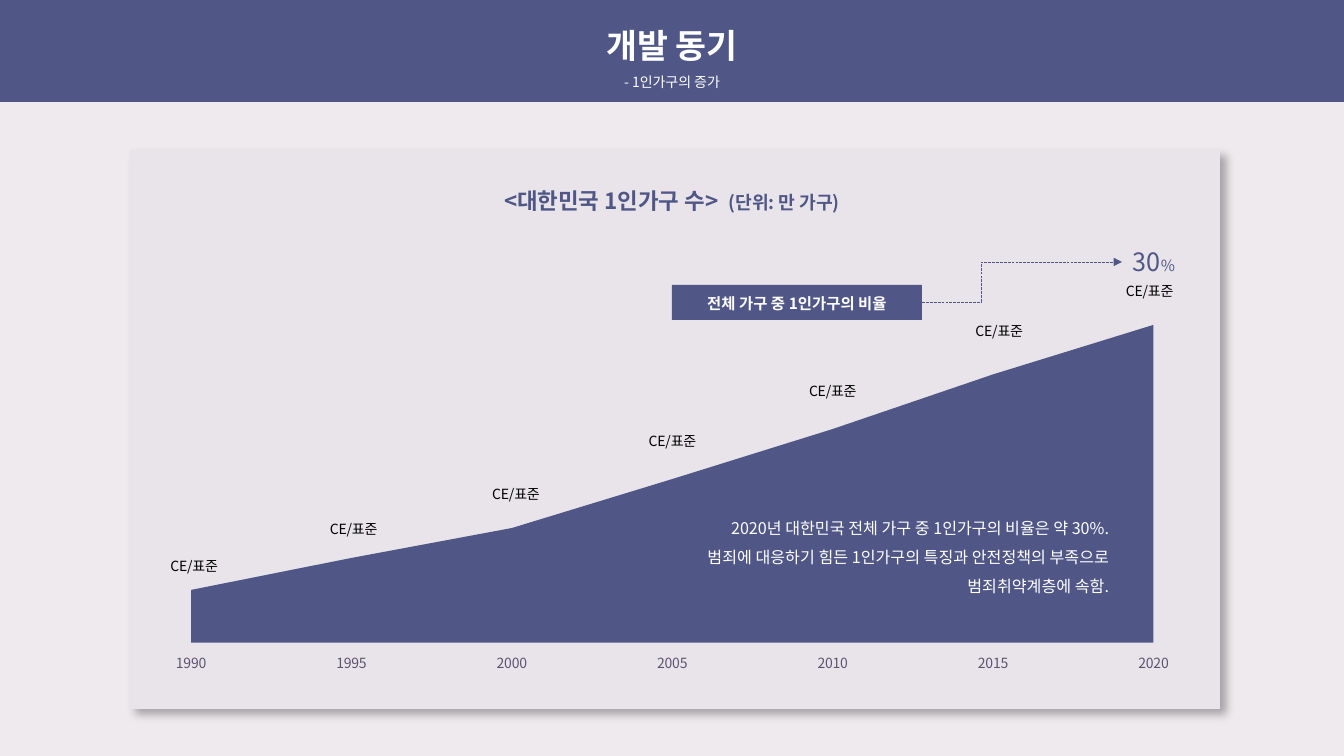
from lxml import etree
from pptx import Presentation
from pptx.chart.data import CategoryChartData
from pptx.dml.color import RGBColor
from pptx.enum.chart import XL_CHART_TYPE, XL_TICK_MARK
from pptx.enum.dml import MSO_LINE
from pptx.enum.shapes import MSO_CONNECTOR, MSO_SHAPE
from pptx.enum.text import MSO_ANCHOR, MSO_AUTO_SIZE, PP_ALIGN
from pptx.oxml import parse_xml
from pptx.oxml.ns import nsdecls, qn
from pptx.util import Pt

AREA = XL_CHART_TYPE.AREA
OUTSIDE = XL_TICK_MARK.OUTSIDE
LONG_DASH = MSO_LINE.LONG_DASH
ELBOW = MSO_CONNECTOR.ELBOW
RECTANGLE = MSO_SHAPE.RECTANGLE
TOP, MIDDLE = MSO_ANCHOR.TOP, MSO_ANCHOR.MIDDLE
NO_FIT = MSO_AUTO_SIZE.NONE
CENTER, RIGHT = PP_ALIGN.CENTER, PP_ALIGN.RIGHT
FONT = "Noto Sans CJK KR"
LABEL_FORMAT = 'g/"표""준"'
INDIGO = RGBColor(0x50, 0x57, 0x86)
PLUM = RGBColor(0x5D, 0x52, 0x70)
PANEL = RGBColor(0xE8, 0xE4, 0xEA)
BACKDROP = RGBColor(0xEE, 0xEA, 0xEE)
WHITE = RGBColor(0xFF, 0xFF, 0xFF)
BLACK = RGBColor(0, 0, 0)


def px(*lengths):
    return [round(length * 914400 / 100.8) for length in lengths]


def write(box, paragraphs, color, align=CENTER, anchor=TOP, spacing=None, wrap=True):
    frame = box.text_frame
    frame.word_wrap = wrap
    frame.auto_size = NO_FIT
    frame.vertical_anchor = anchor
    for number, spans in enumerate(paragraphs):
        para = frame.add_paragraph() if number else frame.paragraphs[0]
        para.alignment = align
        para.space_before = Pt(0)
        if spacing:
            para.line_spacing = spacing
        for text, size, bold in spans:
            span = para.add_run()
            span.text = text
            span.font.size = Pt(size)
            span.font.bold = bold
            span.font.name = FONT
            span.font.color.rgb = color
            east_asian = etree.SubElement(span.font._element, qn("a:ea"))
            east_asian.set("typeface", FONT)


deck = Presentation()
deck.slide_width, deck.slide_height = px(1344, 756)
page = deck.slides.add_slide(deck.slide_layouts[5])
page.background.fill.solid()
page.background.fill.fore_color.rgb = BACKDROP

header = page.shapes.title
header.left, header.top, header.width, header.height = px(0, 0, 1344, 102)
header.fill.solid()
header.fill.fore_color.rgb = INDIGO
frame = header.text_frame
frame.margin_left, frame.margin_top, frame.margin_right, frame.margin_bottom = px(10, 5, 10, 12)
write(header, [[("개발 동기", 24, True)], [("- 1인가구의 증가", 10, False)]], WHITE, spacing=1.5)

panel = page.shapes.add_shape(RECTANGLE, *px(130, 150, 1090, 559))
panel.fill.solid()
panel.fill.fore_color.rgb = PANEL
panel.line.fill.background()
panel._element.spPr.append(parse_xml(
    f'<a:effectLst {nsdecls("a")}><a:outerShdw blurRad="76200" dist="76200" dir="2700000" '
    'algn="tl" rotWithShape="0"><a:srgbClr val="000000"><a:alpha val="30000"/></a:srgbClr>'
    '</a:outerShdw></a:effectLst>'))

households = CategoryChartData()
households.categories = ["1990", "1995", "2000", "2005", "2010", "2015", "2020"]
households.add_series("Series 1", [102, 164, 222, 317, 414, 520, 616])
chart_width, chart_height = 1140, 457
chart = page.shapes.add_chart(AREA, *px(104, 219, chart_width, chart_height), households).chart
chart.has_legend = False
chart.has_title = False
chart.font.name = FONT
chart.font.size = Pt(10)

years = chart.category_axis
years.major_tick_mark = OUTSIDE
years.has_major_gridlines = False
years.format.line.fill.background()
years.tick_labels.font.name = FONT
years.tick_labels.font.size = Pt(10)
years.tick_labels.font.color.rgb = PLUM

counts = chart.value_axis
counts.minimum_scale = 0
counts.maximum_scale = 700
counts.has_major_gridlines = False
counts.visible = False
counts._element.find(qn("c:crossBetween")).set("val", "between")

plot_area = chart._chartSpace.find(".//" + qn("c:plotArea"))
for layout in plot_area.findall(qn("c:layout")):
    plot_area.remove(layout)
plot_area.insert(0, parse_xml(
    f'<c:layout {nsdecls("c")}><c:manualLayout><c:layoutTarget val="inner"/>'
    '<c:xMode val="edge"/><c:yMode val="edge"/><c:x val="0.006"/><c:y val="0.137"/>'
    '<c:w val="0.985"/><c:h val="0.79"/></c:manualLayout></c:layout>'))

plot = chart.plots[0]
plot.vary_by_categories = False
series = plot.series[0]
series.format.fill.solid()
series.format.fill.fore_color.rgb = INDIGO
series.format.line.fill.background()
labels = series.data_labels
labels.show_value = True
labels.number_format = LABEL_FORMAT
labels.number_format_is_linked = False
labels.font.name = FONT
labels.font.size = Pt(10)
labels.font.color.rgb = BLACK
for leader_lines in labels._element.findall(qn("c:showLeaderLines")):
    leader_lines.set("val", "0")
labels._element.append(parse_xml(
    f'<c:extLst {nsdecls("c")}><c:ext uri="{{CE6537A1-D6FC-4f65-9D91-7224C49458BB}}" '
    'xmlns:c15="http://schemas.microsoft.com/office/drawing/2012/chart">'
    '<c15:showLeaderLines val="0"/></c:ext></c:extLst>'))
label_shifts = [(3, -51), (2, -72), (4, -92), (0, -120), (0, -145), (6, -178), (-4, -193)]
for index, (across, down) in enumerate(label_shifts):
    labels._element.insert(index, parse_xml(
        f'<c:dLbl {nsdecls("c")}><c:idx val="{index}"/><c:layout><c:manualLayout>'
        f'<c:x val="{across / chart_width:.4f}"/><c:y val="{down / chart_height:.4f}"/>'
        f"</c:manualLayout></c:layout><c:numFmt formatCode='{LABEL_FORMAT}' sourceLinked='0'/>"
        '<c:showLegendKey val="0"/><c:showVal val="1"/><c:showCatName val="0"/>'
        '<c:showSerName val="0"/><c:showPercent val="0"/><c:showBubbleSize val="0"/></c:dLbl>'))

callout = page.shapes.add_shape(RECTANGLE, *px(672, 285, 250, 35))
callout.shadow.inherit = False
callout.fill.solid()
callout.fill.fore_color.rgb = INDIGO
callout.line.fill.background()
callout.text_frame.margin_top, callout.text_frame.margin_bottom = px(7, 5)
write(callout, [[("전체 가구 중 1인가구의 비율", 11, True)]], WHITE, anchor=MIDDLE)

share = page.shapes.add_textbox(*px(1122, 241, 64, 40))
write(share, [[("30", 18, False), ("%", 11, False)]], INDIGO, wrap=False)

arrow = page.shapes.add_connector(ELBOW, *px(922, 302, 1122, 262))
arrow.line.color.rgb = INDIGO
arrow.line.width = Pt(0.25)
arrow.line.dash_style = LONG_DASH
etree.SubElement(arrow.line._get_or_add_ln(), qn("a:tailEnd")).set("type", "triangle")
bend = etree.SubElement(arrow._element.spPr.prstGeom.get_or_add_avLst(), qn("a:gd"))
bend.set("name", "adj1")
bend.set("fmla", "val 29500")
etree.SubElement(arrow._element.spPr, qn("a:effectLst"))

summary = page.shapes.add_textbox(*px(607, 513, 512, 78))
write(summary, [
    [("2020년 대한민국 전체 가구 중 1인가구의 비율은 약 30%.", 11.5, False)],
    [("범죄에 대응하기 힘든 1인가구의 특징과 안전정책의 부족으로 범죄취약계층에 속함.", 11.5, False)],
], WHITE, align=RIGHT, anchor=MIDDLE, spacing=1.5)

heading = page.shapes.add_textbox(*px(470, 182, 404, 37))
write(heading, [[("<대한민국 1인가구 수>  ", 16, True), ("(단위: 만 가구)", 13, True)]], INDIGO, wrap=False)

deck.save("out.pptx")
